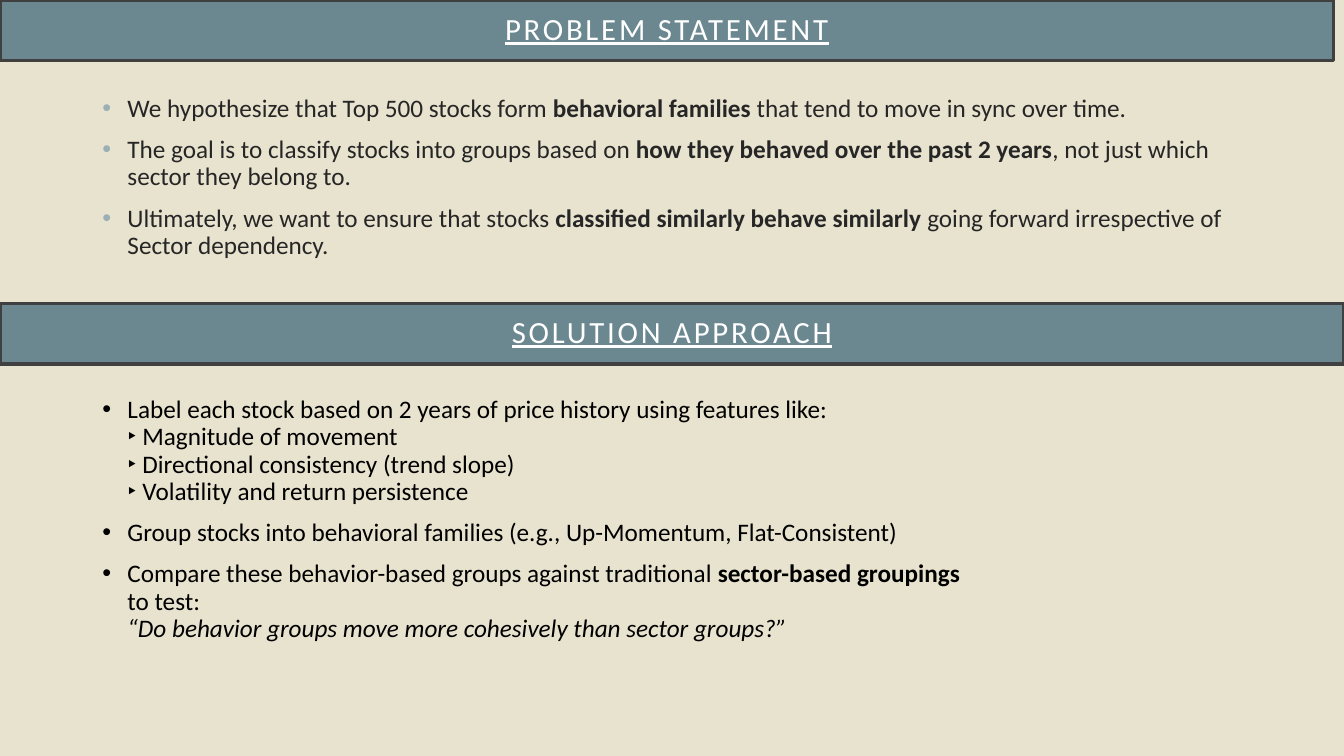
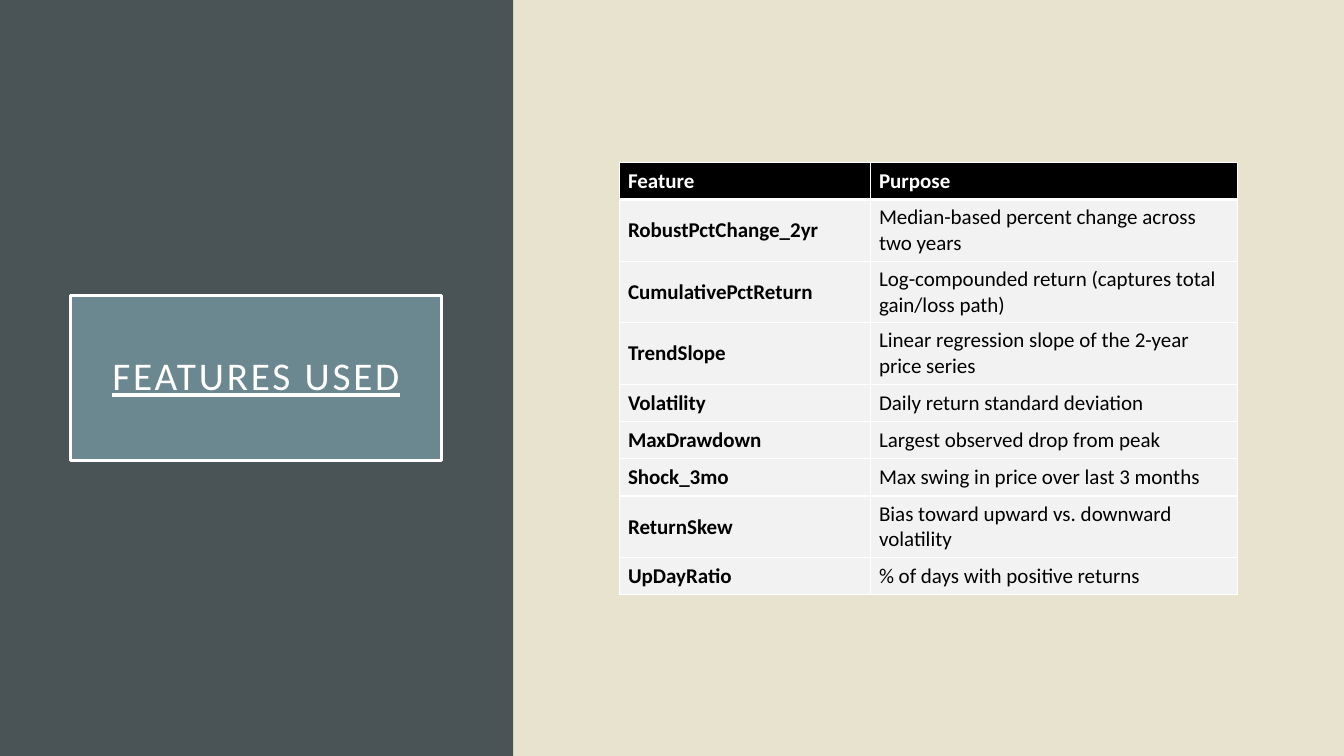
from lxml.etree import SubElement as Sub
from pptx import Presentation
from pptx.dml.color import RGBColor as RGB
from pptx.enum.shapes import MSO_SHAPE as Shape
from pptx.enum.text import MSO_ANCHOR as Anchor, MSO_AUTO_SIZE as Auto, PP_ALIGN as Align
from pptx.oxml.ns import qn
from pptx.util import Pt

SAND = RGB(0xE8, 0xE3, 0xCE)
TEAL = RGB(0x6B, 0x88, 0x91)
SLATE = RGB(0x4A, 0x53, 0x56)
EDGE = RGB(0x40, 0x40, 0x40)
INK = RGB(0x26, 0x26, 0x26)
MIST = RGB(0x9B, 0xAF, 0xB5)
PALE = RGB(0xF2, 0xF2, 0xF2)
WHITE = RGB(0xFF, 0xFF, 0xFF)
BLACK = RGB(0x00, 0x00, 0x00)

WIDE, HIGH = 960, 540
BAR = 43.2
BOLD = {"bold": True}
ITALIC = {"italic": True}

GOALS = [
    [("We hypothesize that Top 500 stocks form ", {}),
     ("behavioral families", BOLD),
     (" that tend to move in sync over time.", {})],
    [("The goal is to classify stocks into groups based on ", {}),
     ("how they behaved over the past 2 years", BOLD),
     (", not just which sector they belong to.", {})],
    [("Ultimately, we want to ensure that stocks ", {}),
     ("classified similarly behave similarly", BOLD),
     (" going forward irrespective of Sector dependency.", {})],
]
STEPS = [
    [("Label each stock based on 2 years of price history using features like:\n"
      "‣ Magnitude of movement\n"
      "‣ Directional consistency (trend slope)\n"
      "‣ Volatility and return persistence", {})],
    [("Group stocks into behavioral families (e.g., Up-Momentum, Flat-Consistent)", {})],
    [("Compare these behavior-based groups against traditional ", {}),
     ("sector-based groupings\n", BOLD),
     ("to test:\n", {}),
     ("“Do behavior groups move more cohesively than sector groups?”", ITALIC)],
]
FEATURES = [
    ("Feature", "Purpose"),
    ("RobustPctChange_2yr", "Median-based percent change across two years"),
    ("CumulativePctReturn", "Log-compounded return (captures total gain/loss path)"),
    ("TrendSlope", "Linear regression slope of the 2-year price series"),
    ("Volatility", "Daily return standard deviation"),
    ("MaxDrawdown", "Largest observed drop from peak"),
    ("Shock_3mo", "Max swing in price over last 3 months"),
    ("ReturnSkew", "Bias toward upward vs. downward volatility"),
    ("UpDayRatio", "% of days with positive returns"),
]


def apply(target, values):
    for name, value in values.items():
        setattr(target, name, value)


class Deck:
    """Holds the shared style and the slide being built."""

    FACE = "Calibri"
    FRAME = {"word_wrap": True, "auto_size": Auto.NONE, "vertical_anchor": Anchor.MIDDLE,
             **{f"margin_{side}": Pt(14.4) for side in ("left", "top", "right", "bottom")}}
    LIST = {"line_spacing": 0.9, "space_before": Pt(10)}
    CELL = {"vertical_anchor": Anchor.MIDDLE, "margin_left": Pt(6), "margin_right": Pt(6),
            "margin_top": Pt(3), "margin_bottom": Pt(3)}

    def __init__(self):
        self.prs = Presentation()
        apply(self.prs, {"slide_width": Pt(WIDE), "slide_height": Pt(HIGH)})
        back = self.prs.slide_master.background.fill
        back.solid()
        back.fore_color.rgb = SAND

    def start(self):
        self.slide = self.prs.slides.add_slide(self.prs.slide_layouts[5])

    def run(self, para, text, size, color, **values):
        """Add text to a paragraph, with a line break at each newline."""
        for i, part in enumerate(text.split("\n")):
            if i:
                para.add_line_break()
            if part:
                run = para.add_run()
                run.text = part
                apply(run.font, {"name": self.FACE, "size": Pt(size), **values})
                run.font.color.rgb = color
        return run

    def rect(self, box, color):
        shape = self.slide.shapes.add_shape(Shape.RECTANGLE, *map(Pt, box))
        shape.shadow.inherit = False
        shape.fill.solid()
        shape.fill.fore_color.rgb = color
        shape.line.fill.background()
        return shape

    def panel(self, box, color):
        """Put a plain rectangle behind the title."""
        shape = self.rect(box, color)
        self.slide.shapes.title.element.addprevious(shape.element)

    def label(self, shape, text, size, edge):
        """Give a shape the heading style."""
        shape.fill.solid()
        shape.fill.fore_color.rgb = TEAL
        shape.line.color.rgb = edge
        shape.line.width = Pt(2.5)
        apply(shape.text_frame, self.FRAME)
        para = shape.text_frame.paragraphs[0]
        apply(para, {"alignment": Align.CENTER, "line_spacing": 0.9})
        run = self.run(para, text, size, WHITE, underline=True)
        run.font._element.set("spc", "200")

    def title(self, text, box, size=22, edge=EDGE):
        shape = self.slide.shapes.title
        apply(shape, dict(zip(("left", "top", "width", "height"), map(Pt, box))))
        self.label(shape, text, size, edge)

    def band(self, text, box, size=22, edge=EDGE):
        self.label(self.rect(box, TEAL), text, size, edge)

    def bullets(self, items, box, color, dot):
        frame = self.slide.shapes.add_textbox(*map(Pt, box)).text_frame
        frame.word_wrap = True
        for i, item in enumerate(items):
            para = frame.add_paragraph() if i else frame.paragraphs[0]
            apply(para, self.LIST)
            props = para._p.get_or_add_pPr()
            props.set("marL", str(Pt(18)))
            props.set("indent", str(Pt(-18)))
            Sub(Sub(props, qn("a:buClr")), qn("a:srgbClr"), val=str(dot))
            Sub(props, qn("a:buFont"), typeface="Arial")
            Sub(props, qn("a:buChar"), char="•")
            for text, values in item:
                self.run(para, text, 18, color, **values)

    def border(self, cell, row):
        """Draw white cell borders, heavy below the header."""
        props = cell._tc.get_or_add_tcPr()
        for side in "LRTB":
            heavy = (row, side) in ((0, "B"), (1, "T"))
            line = Sub(props, qn(f"a:ln{side}"), w=str(Pt(3 if heavy else 1)))
            Sub(Sub(line, qn("a:solidFill")), qn("a:srgbClr"), val=str(WHITE))

    def table(self, rows, left, top, widths):
        """Place a table whose long entries get two-line rows."""
        highs = [44 if len(row[-1]) > 40 else 26.6 for row in rows]
        box = (left, top, sum(widths), sum(highs))
        grid = self.slide.shapes.add_table(len(rows), len(widths), *map(Pt, box)).table
        grid.horz_banding = False
        for col, width in zip(grid.columns, widths):
            col.width = Pt(width)
        for r, (row, high) in enumerate(zip(rows, highs)):
            grid.rows[r].height = Pt(high)
            for c, text in enumerate(row):
                cell = grid.cell(r, c)
                apply(cell, self.CELL)
                self.border(cell, r)
                cell.fill.solid()
                cell.fill.fore_color.rgb = PALE if r else BLACK
                self.run(cell.text_frame.paragraphs[0], text, 15,
                         BLACK if r else WHITE, bold=r == 0 or c == 0)


def main():
    deck = Deck()

    deck.start()
    deck.title("PROBLEM STATEMENT", (0, 0, 952.6, BAR))
    deck.bullets(GOALS, (66, 64.8, 828, 131), INK, MIST)
    deck.bullets(STEPS, (66, 280, 828, 241), BLACK, BLACK)
    deck.band("SOLUTION APPROACH", (0, 216.7, WIDE, BAR))

    deck.start()
    deck.panel((0, 0, 366.5, HIGH), SLATE)
    deck.title("FEATURES USED", (50.4, 211, 265, 118), 28, WHITE)
    deck.table(FEATURES, 442.6, 116, (179.3, 262))

    deck.prs.save("out.pptx")


if __name__ == "__main__":
    main()
